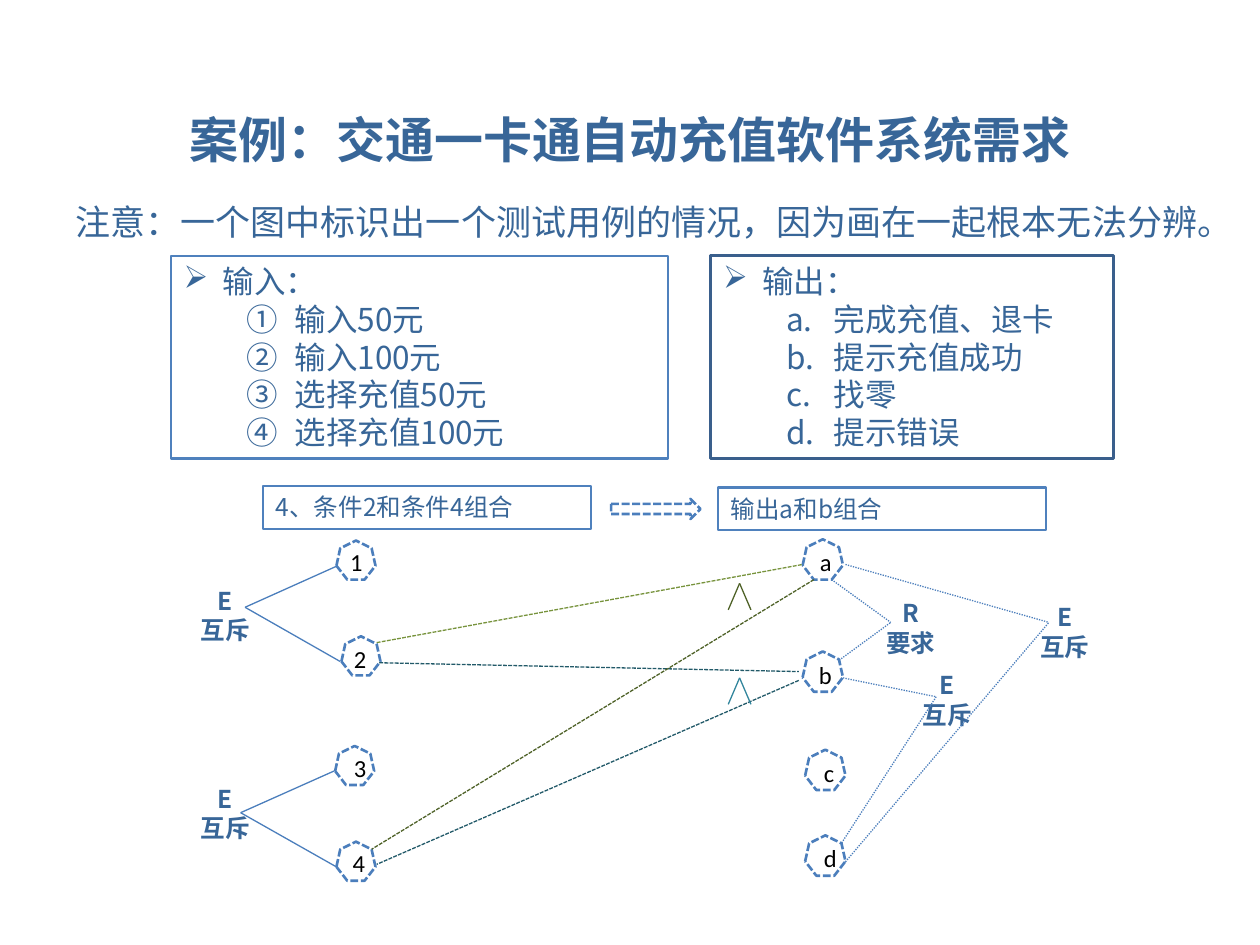
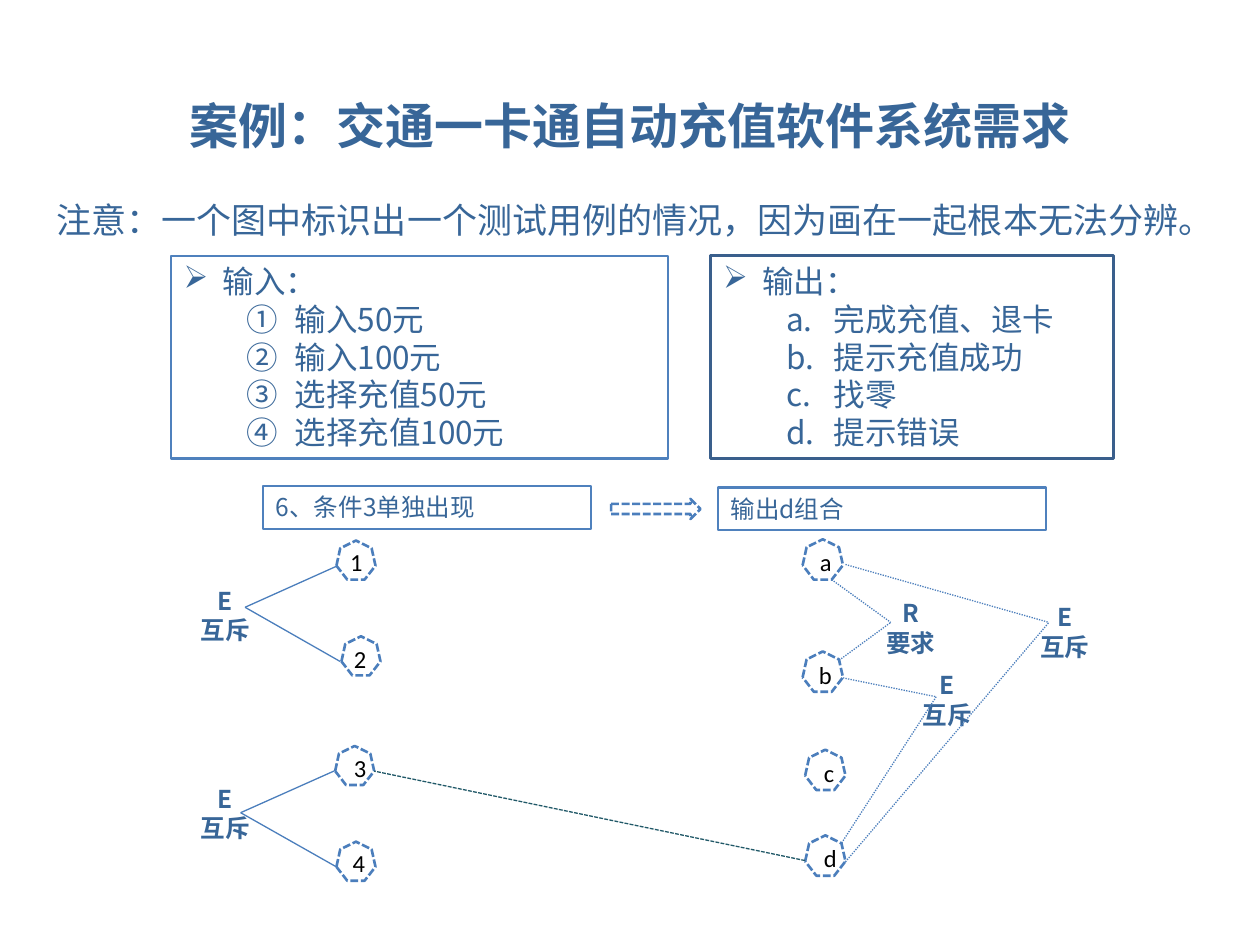
from dataclasses import dataclass

from lxml import etree
from pptx import Presentation
from pptx.dml.color import RGBColor
from pptx.enum import dml, shapes, text
from pptx.oxml import ns
from pptx import util as u


@dataclass(frozen=True)
class Theme:
    ink: str = "386698"
    black: str = "000000"
    paper: str = "FFFFFF"
    border: str = "4F81BD"
    strong_border: str = "3A5F8C"
    graph: str = "4B7EBC"
    teal: str = "215968"
    aqua: str = "31859C"
    lime: str = "77933C"
    olive: str = "4F6228"
    title_font: str = "Roboto"
    body_font: str = "Noto Sans CJK SC"
    node_font: str = "Calibri"
    title_size: int = 28
    note_size: int = 20
    list_size: int = 18
    label_size: int = 14
    leading: float = 1.2
    title_leading: float = 1.28
    thin: float = 0.75
    medium: float = 1.25
    thick: float = 1.5


THEME = Theme()
COLUMNS, ROWS = 100, 75
DASH = dml.MSO_LINE.SQUARE_DOT
DOT = dml.MSO_LINE.ROUND_DOT

TITLE = "案例：交通一卡通自动充值软件系统需求"
NOTE = "注意：一个图中标识出一个测试用例的情况，因为画在一起根本无法分辨。"
INPUTS = ["输入50元", "输入100元", "选择充值50元", "选择充值100元"]
OUTPUTS = ["完成充值、退卡", "提示充值成功", "找零", "提示错误"]

CAUSE_NODES = [("1", (26.7, 42.9), (26.8, 42.9)), ("2", (27.1, 50.5), (27.1, 50.6)),
               ("3", (26.6, 59.2), (27.1, 59.3)), ("4", (26.7, 66.8), (27, 66.8))]
EFFECT_NODES = [("a", (63.7, 42.8), (64.1, 42.9)), ("b", (63.7, 51.7), (64, 51.9)),
                ("c", (63.9, 59.5), (64.4, 59.7)), ("d", (63.9, 66.3), (64.4, 66.4))]
CAUSE_CONSTRAINTS = [("E", "互斥", 14.8, 46), ("E", "互斥", 14.8, 61.7)]
EFFECT_CONSTRAINTS = [("R", "要求", 69.2, 47), ("E", "互斥", 72.1, 52.7), ("E", "互斥", 81.4, 47.3)]
CAUSE_LINKS = [((19.45, 48.2), (26.8, 44.9)), ((19.45, 48.2), (27, 52.5)),
               ((19.1, 64.5), (26.5, 61.2)), ((19.1, 64.5), (26.7, 68.8))]
EFFECT_LINKS = [((67.1, 44.8), (83.25, 49.4)), ((67.1, 68.4), (83.25, 49.4)),
                ((66, 46), (70.7, 49.4)), ((66.6, 52.4), (70.7, 49.4)),
                ((66.9, 53.8), (74.3, 55.3)), ((66.8, 66.9), (74.3, 55.3))]


class Sketch:
    def __init__(self, presentation, theme):
        self.presentation = presentation
        self.theme = theme
        self.column = presentation.slide_width / COLUMNS
        self.row = presentation.slide_height / ROWS
        self.slide = None
        self.shapes = None

    def new_slide(self):
        self.slide = self.presentation.slides.add_slide(self.presentation.slide_layouts[6])
        self.ungroup()

    def group(self):
        self.shapes = self.slide.shapes.add_group_shape().shapes

    def ungroup(self):
        self.shapes = self.slide.shapes

    def place(self, *values):
        return [u.Emu(round(value * (self.row if index % 2 else self.column)))
                for index, value in enumerate(values)]

    def stroke(self, line, color, width, dash=None):
        line.color.rgb = RGBColor.from_string(color)
        line.width = u.Pt(width)
        if dash is not None:
            line.dash_style = dash

    def styled_run(self, paragraph, words, size, font=None, color=None, bold=False, leading=None):
        run = paragraph.add_run()
        run.text = words
        run.font.size = u.Pt(size)
        run.font.bold = bold
        run.font.name = font or self.theme.body_font
        run.font.color.rgb = RGBColor.from_string(color or self.theme.ink)
        east_asian = etree.SubElement(run._r.get_or_add_rPr(), ns.qn("a:ea"))
        east_asian.set("typeface", run.font.name)
        if leading:
            paragraph.line_spacing = u.Pt(round(size * leading, 1))

    def text_box(self, box, lines, size, align=text.PP_ALIGN.LEFT, **style):
        frame = self.shapes.add_textbox(*self.place(*box)).text_frame
        frame.word_wrap = True
        for index, words in enumerate(lines):
            paragraph = frame.add_paragraph() if index else frame.paragraphs[0]
            paragraph.alignment = align
            self.styled_run(paragraph, words, size, **style)

    def shape(self, kind, box, color, width, fill=None, dash=None):
        shape = self.shapes.add_shape(kind, *self.place(*box))
        shape.shadow.inherit = False
        if fill:
            shape.fill.solid()
            shape.fill.fore_color.rgb = RGBColor.from_string(fill)
        else:
            shape.fill.background()
        self.stroke(shape.line, color, width, dash)
        return shape

    def panel(self, box, color, width):
        shape = self.shape(shapes.MSO_SHAPE.RECTANGLE, box, color, width, self.theme.paper)
        frame = shape.text_frame
        frame.word_wrap = True
        frame.vertical_anchor = text.MSO_ANCHOR.TOP
        frame.paragraphs[0].alignment = text.PP_ALIGN.LEFT
        return frame

    def caption(self, box, words):
        frame = self.panel(box, self.theme.border, self.theme.medium)
        self.styled_run(frame.paragraphs[0], words, self.theme.label_size,
                        leading=self.theme.leading)

    def bullet(self, paragraph, margin, hanging, tag, **attributes):
        properties = paragraph._p.get_or_add_pPr()
        properties.set("marL", str(u.Inches(margin)))
        properties.set("indent", str(-u.Inches(hanging)))
        etree.SubElement(properties, ns.qn(tag), attributes)

    def list_panel(self, box, color, width, heading, items, numbering):
        frame = self.panel(box, color, width)
        for index, words in enumerate([heading, *items]):
            paragraph = frame.add_paragraph() if index else frame.paragraphs[0]
            paragraph.alignment = text.PP_ALIGN.LEFT
            self.styled_run(paragraph, words, self.theme.list_size, leading=self.theme.leading)
            if index:
                paragraph.level = 1
                self.bullet(paragraph, 0.88, 0.38, "a:buAutoNum", type=numbering)
            else:
                self.bullet(paragraph, 0.31, 0.31, "a:buChar", char="➢")

    def line(self, start, end, color, dash=None):
        connector = self.shapes.add_connector(
            shapes.MSO_CONNECTOR.STRAIGHT, *self.place(*start, *end))
        self.stroke(connector.line, color, self.theme.thin, dash)
        etree.SubElement(connector._element.spPr, ns.qn("a:effectLst"))

    def and_mark(self, apex, color):
        x, y = apex
        for foot in (x - 0.9, x + 0.9):
            self.line((foot, y + 2.1), apex, color)

    def node(self, name, corner, label_corner, side):
        self.text_box((*label_corner, 2.4, 3.4), [name], self.theme.label_size,
                      font=self.theme.node_font, color=self.theme.black)
        self.shape(shapes.MSO_SHAPE.HEPTAGON, (*corner, side, side),
                   self.theme.graph, self.theme.thick, dash=DASH)

    def graph(self, nodes, side, constraints, links, dash=None):
        self.group()
        for name, corner, label_corner in nodes:
            self.node(name, corner, label_corner, side)
        for letter, meaning, left, top in constraints:
            self.text_box((left, top, 6.2, 5.7), [letter, meaning], self.theme.label_size,
                          text.PP_ALIGN.CENTER, bold=True, leading=self.theme.leading)
        for start, end in links:
            self.line(start, end, self.theme.graph, dash)
        self.ungroup()

    def case(self, title_box, note_box, condition, result, routes, marks):
        theme = self.theme
        self.new_slide()
        self.text_box(title_box, [TITLE], theme.title_size, text.PP_ALIGN.CENTER,
                      font=theme.title_font, bold=True, leading=theme.title_leading)
        self.text_box(note_box, [NOTE], theme.note_size, leading=theme.leading)
        self.list_panel((13.6, 20.3, 39.4, 16.1), theme.border, theme.medium,
                        "输入：", INPUTS, "circleNumDbPlain")
        self.list_panel((56.4, 20.3, 32, 16.1), theme.strong_border, theme.thick,
                        "输出：", OUTPUTS, "alphaLcPeriod")
        self.graph(CAUSE_NODES, 3.1, CAUSE_CONSTRAINTS, CAUSE_LINKS)
        self.graph(EFFECT_NODES, 3.2, EFFECT_CONSTRAINTS, EFFECT_LINKS, DOT)
        for start, end, color in routes:
            self.line(start, end, color, DASH)
        for apex, color in marks:
            self.and_mark(apex, color)
        self.caption((20.9, 38.6, 26, 3.4), condition)
        self.caption((57, 38.7, 26, 3.4), result)
        self.shape(shapes.MSO_SHAPE.RIGHT_ARROW, (48.5, 39.6, 7.1, 1.6),
                   theme.graph, theme.thick, dash=DASH)


def main():
    presentation = Presentation()
    presentation.slide_width = u.Inches(10)
    presentation.slide_height = u.Inches(7.5)
    sketch = Sketch(presentation, THEME)
    sketch.case(
        (5, 7.9, 90, 6.8), (5, 15.4, 92.2, 4.4), "4、条件2和条件4组合", "输出a和b组合",
        [((30.1, 52.6), (63.4, 53.3), THEME.teal), ((63.4, 54), (29.9, 68.6), THEME.teal),
         ((29.9, 51), (63.7, 44.8), THEME.lime), ((64.6, 46), (29.5, 67.4), THEME.olive)],
        [((58.7, 53.8), THEME.aqua), ((58.7, 46.3), THEME.olive)])
    sketch.case(
        (5, 6.8, 90, 8), (3.5, 15.3, 93.1, 4.4), "6、条件3单独出现", "输出d组合",
        [((63.9, 68.3), (29.7, 61.2), THEME.teal)], [])
    presentation.save("out.pptx")


if __name__ == "__main__":
    main()
